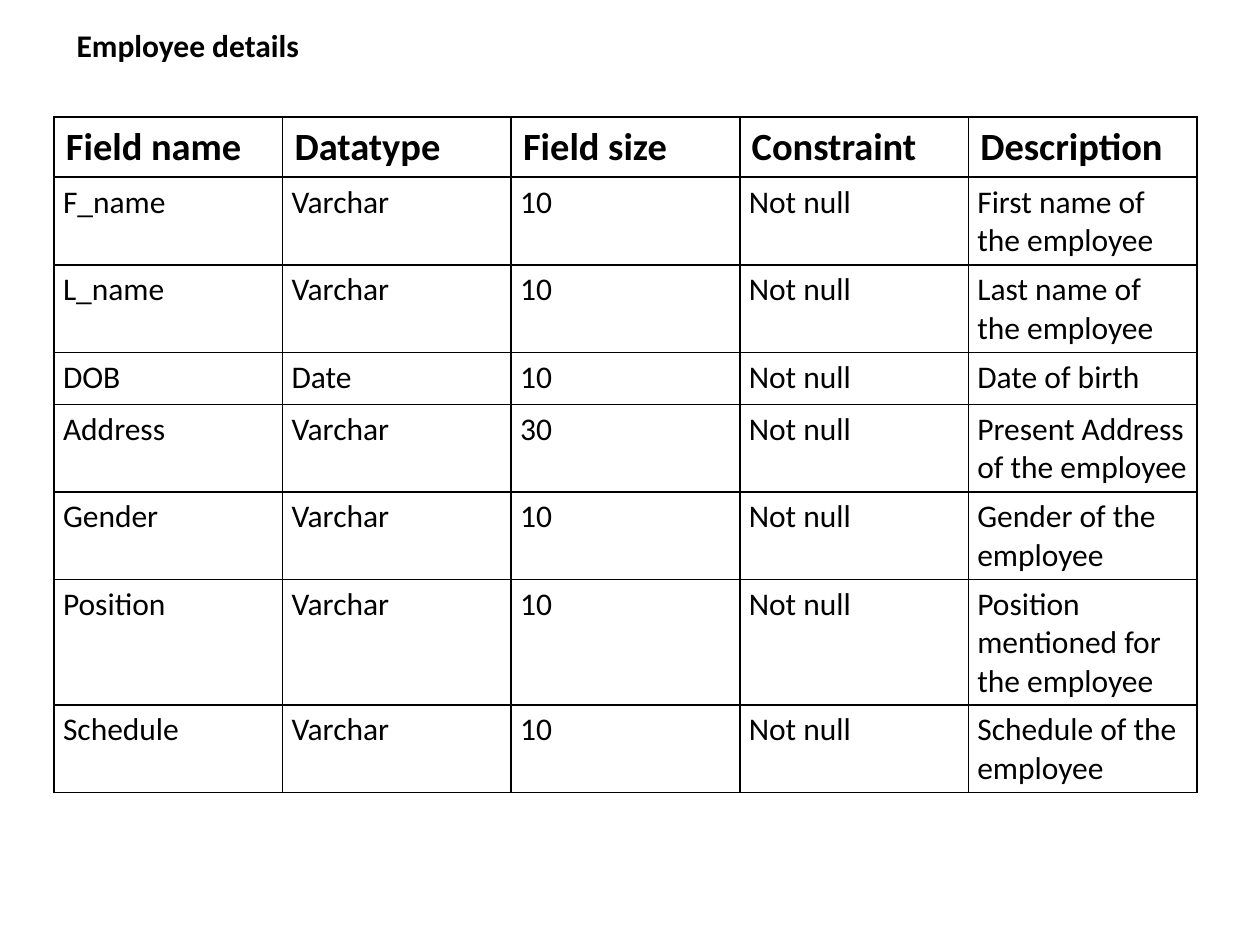
import pptx
import pptx.util
import pptx.dml.color
import pptx.enum.text
import pptx.oxml.ns
from dataclasses import dataclass
from lxml import etree

PX = 914400 // 126  # EMU per px


@dataclass(frozen=True)
class Theme:
    font: str = "Calibri"
    ink: str = "000000"
    title_pt: int = 18
    header_pt: int = 22
    body_pt: int = 18
    border_pt: int = 1


THEME = Theme()
TITLE = "Employee details"
HEADER = ("Field name", "Datatype", "Field size", "Constraint", "Description")
FIELDS = [
    ("F_name", "Varchar", "10", "Not null", "First name of the employee"),
    ("L_name", "Varchar", "10", "Not null", "Last name of the employee"),
    ("DOB", "Date", "10", "Not null", "Date of birth"),
    ("Address", "Varchar", "30", "Not null", "Present Address of the employee"),
    ("Gender", "Varchar", "10", "Not null", "Gender of the employee"),
    ("Position", "Varchar", "10", "Not null", "Position mentioned for the employee"),
    ("Schedule", "Varchar", "10", "Not null", "Schedule of the employee"),
]


def set_all(obj, values):
    for name, value in values.items():
        setattr(obj, name, value)


def write(tf, text, size, bold):
    p = tf.paragraphs[0]
    p.alignment = pptx.enum.text.PP_ALIGN.LEFT
    r = p.add_run()
    r.text = text
    set_all(r.font, {"name": THEME.font, "size": pptx.util.Pt(size), "bold": bold})
    r.font.color.rgb = pptx.dml.color.RGBColor.from_string(THEME.ink)


def set_borders(cell):
    tcPr = cell._tc.get_or_add_tcPr()
    qn = pptx.oxml.ns.qn
    # Borders come before the fill in the cell properties
    for i, side in enumerate(("lnL", "lnR", "lnT", "lnB")):
        ln = etree.Element(qn(f"a:{side}"), w=str(pptx.util.Pt(THEME.border_pt)))
        fill = etree.SubElement(ln, qn("a:solidFill"))
        etree.SubElement(fill, qn("a:srgbClr"), val=THEME.ink)
        tcPr.insert(i, ln)


def place_title(slide, x, y, w, h):
    sp = slide.shapes.title
    set_all(sp, {"left": x * PX, "top": y * PX, "width": w * PX, "height": h * PX})
    tf = sp.text_frame
    set_all(tf, {
        "word_wrap": True,
        "auto_size": pptx.enum.text.MSO_AUTO_SIZE.SHAPE_TO_FIT_TEXT,
        "vertical_anchor": pptx.enum.text.MSO_ANCHOR.TOP,
    })
    write(tf, TITLE, THEME.title_pt, True)


def place_table(slide, x, y, w, h, row_h=52):
    rows = [HEADER] + FIELDS
    frame = slide.shapes.add_table(len(rows), len(HEADER), x * PX, y * PX, w * PX, h * PX)
    table = frame.table
    set_all(table, {"first_row": False, "horz_banding": False})
    for i, values in enumerate(rows):
        # Rows grow to fit their text
        table.rows[i].height = row_h * PX
        header = i == 0
        size = THEME.header_pt if header else THEME.body_pt
        side, edge = (12, 7) if header else (9, 6)
        for j, text in enumerate(values):
            cell = table.cell(i, j)
            set_all(cell, {
                "margin_left": side * PX, "margin_right": side * PX,
                "margin_top": edge * PX, "margin_bottom": edge * PX,
            })
            cell.fill.background()
            set_borders(cell)
            write(cell.text_frame, text, size, header)
    frame.height = h * PX


def main():
    prs = pptx.Presentation()
    set_all(prs, {"slide_width": 1260 * PX, "slide_height": 945 * PX})
    slide = prs.slides.add_slide(prs.slide_layouts[5])
    place_table(slide, 54, 117, 1143, 717)
    place_title(slide, 64, 20, 360, 50)
    prs.save("out.pptx")


if __name__ == "__main__":
    main()
